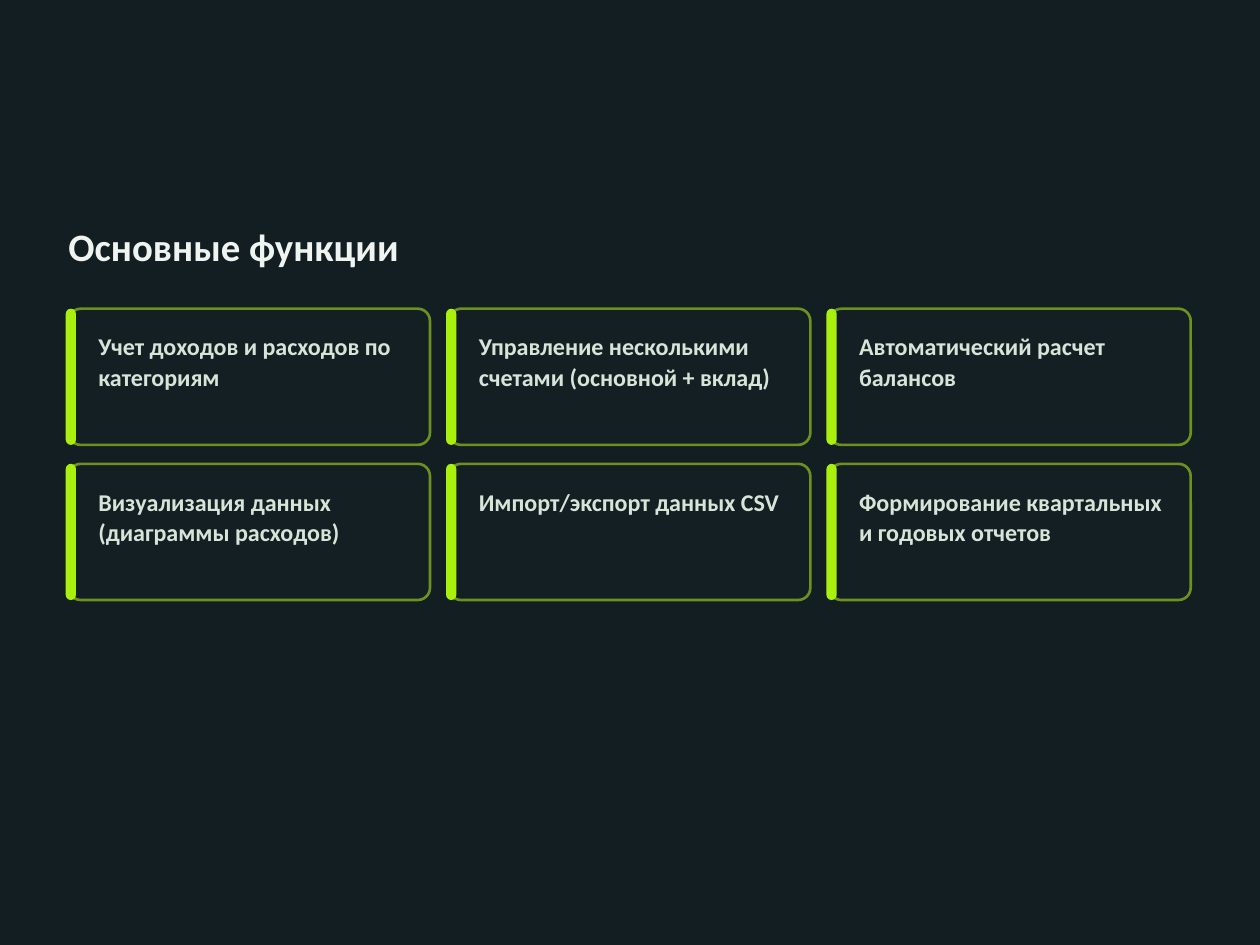
from lxml import etree
from pptx import Presentation
from pptx.dml.color import RGBColor
from pptx.enum.shapes import MSO_SHAPE
from pptx.oxml.ns import qn
from pptx.util import Pt

RECTANGLE = MSO_SHAPE.RECTANGLE
ROUNDED = MSO_SHAPE.ROUNDED_RECTANGLE

PX = 4572  # 200 px to the inch
SLIDE_WIDTH, SLIDE_HEIGHT = 3200, 2400

BLACK = RGBColor(0x00, 0x00, 0x00)
PANEL = RGBColor(0x15, 0x20, 0x25)
BORDER = RGBColor(0x6D, 0x91, 0x21)
ACCENT = RGBColor(0xA9, 0xF0, 0x0F)
TITLE_COLOR = RGBColor(0xF0, 0xF4, 0xF1)
CARD_COLOR = RGBColor(0xD7, 0xE5, 0xD8)

FONT = "Calibri"
TITLE = "Основные функции"
FEATURES = [
    "Учет доходов и расходов по категориям",
    "Управление несколькими счетами (основной + вклад)",
    "Автоматический расчет балансов",
    "Визуализация данных (диаграммы расходов)",
    "Импорт/экспорт данных CSV",
    "Формирование квартальных и годовых отчетов",
]
COLUMNS = 3


def to_emu(box):
    return [length * PX for length in box]


def add_filled(slide, kind, box, color, opacity=100):
    shape = slide.shapes.add_shape(kind, *to_emu(box))
    shape.shadow.inherit = False
    shape.fill.solid()
    shape.fill.fore_color.rgb = color
    shape.line.fill.background()
    if opacity < 100:
        color_element = shape.fill._xPr.find(qn("a:solidFill"))[0]
        etree.SubElement(color_element, qn("a:alpha"), val=str(opacity * 1000))
    return shape


def add_text(slide, box, text, size, spacing, color, wrap=True):
    frame = slide.shapes.add_textbox(*to_emu(box)).text_frame
    frame.margin_left = frame.margin_top = 0
    frame.margin_right = frame.margin_bottom = 0
    frame.word_wrap = wrap
    frame.text = text
    paragraph = frame.paragraphs[0]
    paragraph.line_spacing = Pt(spacing)
    font = paragraph.runs[0].font
    font.name = FONT
    font.size = Pt(size)
    font.bold = True
    font.color.rgb = color


def add_background(slide):
    slide.background.fill.solid()
    slide.background.fill.fore_color.rgb = BLACK
    add_filled(slide, RECTANGLE, (0, 0, SLIDE_WIDTH, SLIDE_HEIGHT), PANEL, 95)


def add_card(slide, box, text):
    """Place an outlined panel with an accent bar on its left edge."""
    left, top, width, height = box
    panel = add_filled(slide, ROUNDED, box, PANEL, 95)
    panel.adjustments[0] = 0.09
    panel.line.color.rgb = BORDER
    panel.line.width = Pt(2.4)
    bar = add_filled(slide, ROUNDED, (left - 7, top, 26, height), ACCENT)
    bar.adjustments[0] = 0.5
    text_box = (left + 76, top + 56, width - 132, height - 114)
    add_text(slide, text_box, text, 22, 27.5, CARD_COLOR)


def add_card_grid(slide, box, gap):
    left, top, width, height = box
    rows = len(FEATURES) // COLUMNS
    card_width = (width - gap * (COLUMNS - 1)) // COLUMNS
    card_height = (height - gap * (rows - 1)) // rows
    for index, feature in enumerate(FEATURES):
        row, column = divmod(index, COLUMNS)
        card_left = left + column * (card_width + gap)
        card_top = top + row * (card_height + gap)
        add_card(slide, (card_left, card_top, card_width, card_height), feature)


def main():
    presentation = Presentation()
    presentation.slide_width = SLIDE_WIDTH * PX
    presentation.slide_height = SLIDE_HEIGHT * PX
    slide = presentation.slides.add_slide(presentation.slide_layouts[6])
    add_background(slide)
    add_text(slide, (174, 560, 1034, 124), TITLE, 35.5, 44.5, TITLE_COLOR, wrap=False)
    add_card_grid(slide, (174, 784, 2852, 740), 48)
    presentation.save("out.pptx")


if __name__ == "__main__":
    main()
